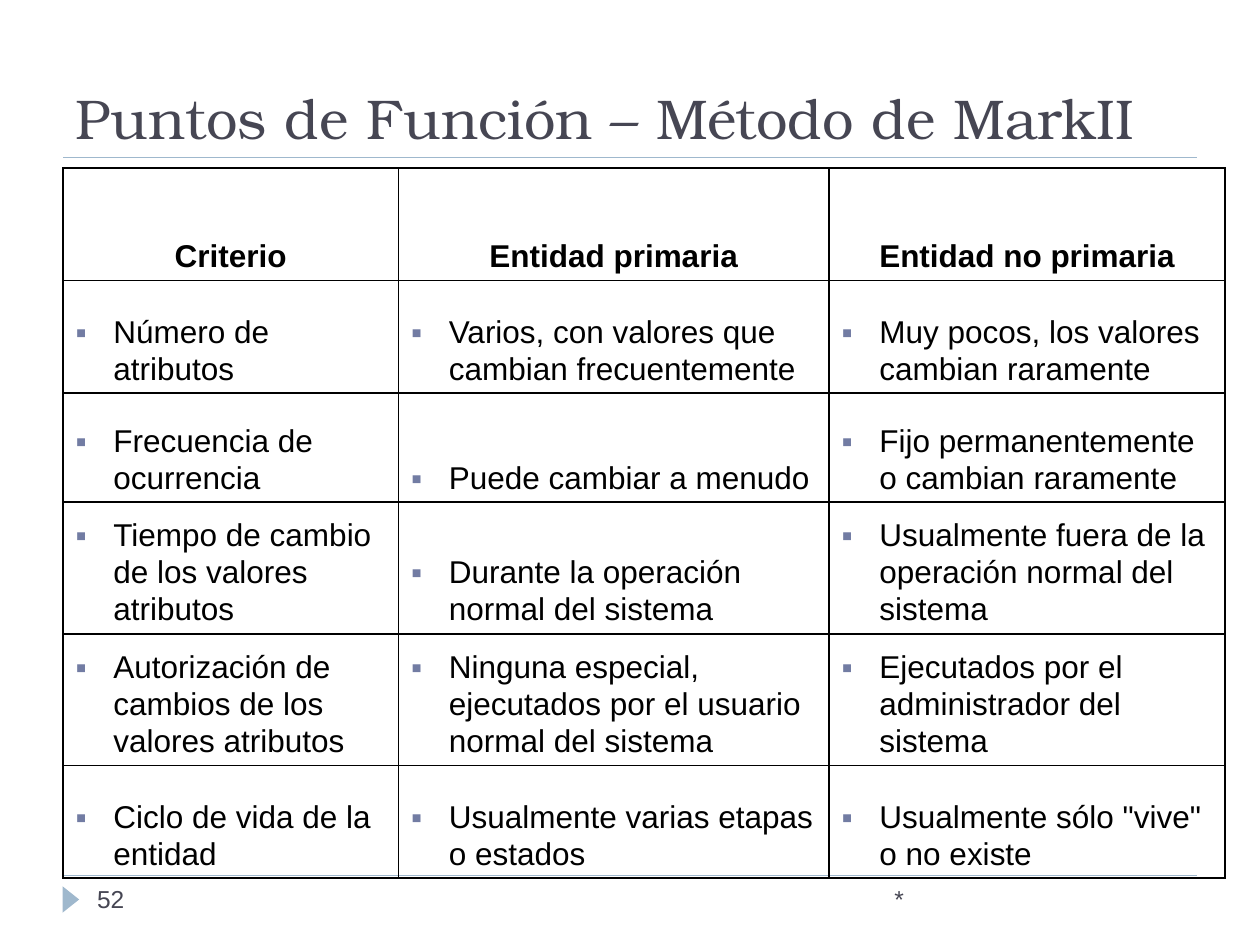
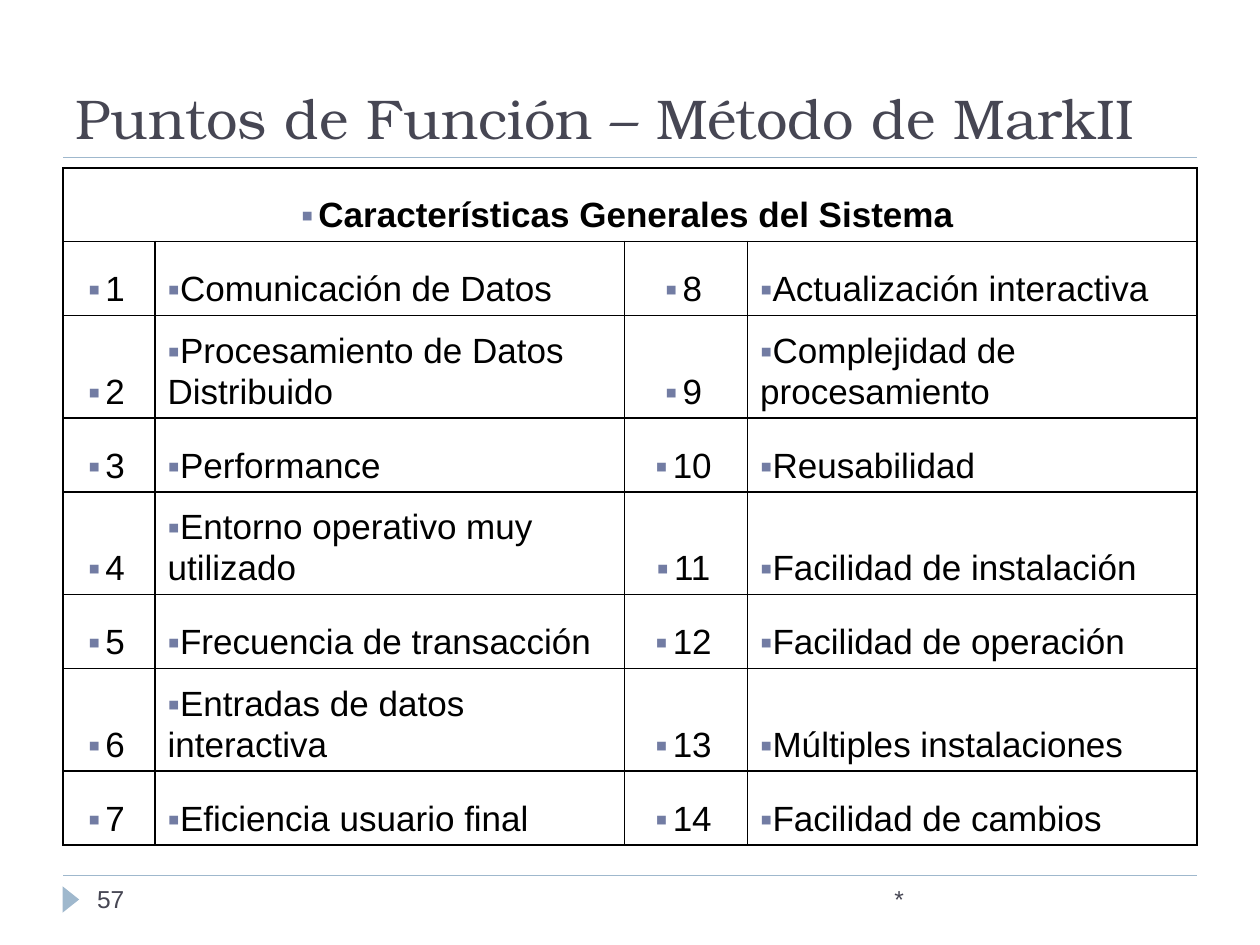
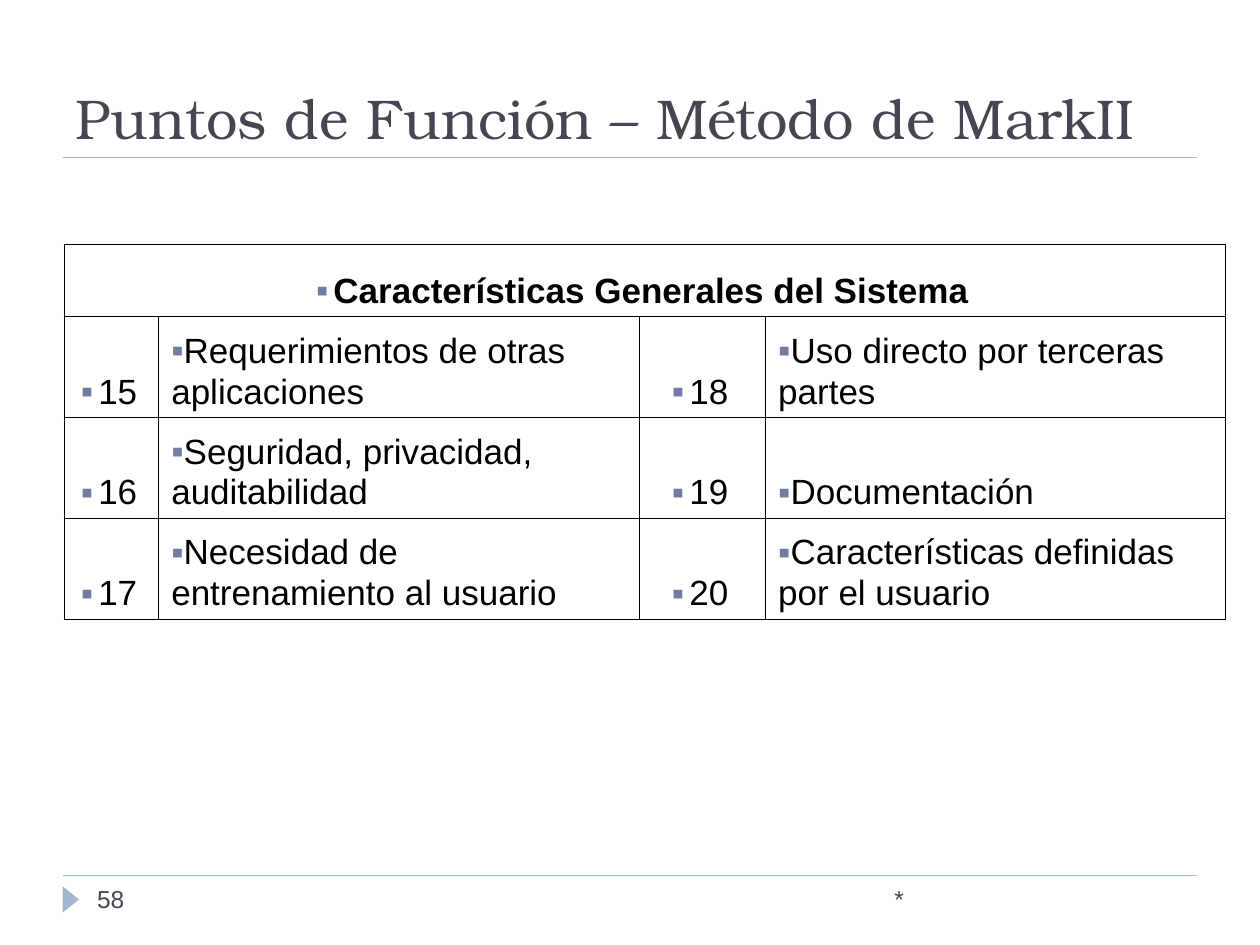
import dataclasses

import pptx
import pptx.dml.color
import pptx.enum.shapes
import pptx.enum.text
import pptx.oxml
import pptx.oxml.ns
import pptx.util

Pt = pptx.util.Pt
ALIGN = pptx.enum.text.PP_ALIGN
ANCHOR = pptx.enum.text.MSO_ANCHOR

# Content
TITLE = "Puntos de Función – Método de MarkII"
DATE_MARK = "*"

CRITERIA_HEADINGS = ["Criterio", "Entidad primaria", "Entidad no primaria"]
CRITERIA = [
    ["Número de atributos",
     "Varios, con valores que cambian frecuentemente",
     "Muy pocos, los valores cambian raramente"],
    ["Frecuencia de ocurrencia",
     "Puede cambiar a menudo",
     "Fijo permanentemente o cambian raramente"],
    ["Tiempo de cambio de los valores atributos",
     "Durante la operación normal del sistema",
     "Usualmente fuera de la operación normal del sistema"],
    ["Autorización de cambios de los valores atributos",
     "Ninguna especial, ejecutados por el usuario normal del sistema",
     "Ejecutados por el administrador del sistema"],
    ["Ciclo de vida de la entidad",
     "Usualmente varias etapas o estados",
     "Usualmente sólo \"vive\" o no existe"],
]

FEATURES_HEADING = "Características Generales del Sistema"
FEATURES = [
    "Comunicación de Datos", "Procesamiento de Datos Distribuido", "Performance",
    "Entorno operativo muy utilizado", "Frecuencia de transacción",
    "Entradas de datos interactiva", "Eficiencia usuario final",
    "Actualización interactiva", "Complejidad de procesamiento", "Reusabilidad",
    "Facilidad de instalación", "Facilidad de operación",
    "Múltiples instalaciones", "Facilidad de cambios",
]
MORE_FEATURES = [
    "Requerimientos de otras aplicaciones", "Seguridad, privacidad, auditabilidad",
    "Necesidad de entrenamiento al usuario", "Uso directo por terceras partes",
    "Documentación", "Características definidas por el usuario",
]


# Theme
@dataclasses.dataclass(frozen=True)
class Theme:
    ink: str = "464653"
    accent: str = "9FB8CD"
    bullet: str = "727CA3"
    table: str = "000000"
    title_font: str = "TeX Gyre Bonum"
    body_font: str = "Arial"
    title_size: float = 32
    footer_size: float = 14
    criteria_size: float = 18
    features_size: float = 20
    line_spacing: float = 1.05


THEME = Theme()
LEFT, RIGHT = 36, 684
TITLE_RULE, FOOTER_RULE = 90, 500.4


def rgb(value):
    return pptx.dml.color.RGBColor.from_string(value)


def style(paragraph, font, size, color, bold=False):
    for run in paragraph.runs:
        run.font.name, run.font.size, run.font.bold = font, Pt(size), bold
        run.font.color.rgb = rgb(color)


def add_xml(parent, xml):
    parent.append(pptx.oxml.parse_xml(
        xml.replace(" ", f" {pptx.oxml.ns.nsdecls('a')} ", 1)))


# Shared slide parts
def add_rule(slide, y):
    rule = slide.shapes.add_connector(
        pptx.enum.shapes.MSO_CONNECTOR.STRAIGHT, Pt(LEFT), Pt(y), Pt(RIGHT), Pt(y))
    rule.line.color.rgb, rule.line.width = rgb(THEME.accent), Pt(0.75)
    add_xml(rule._element.spPr, "<a:effectLst />")


def add_footer_text(slide, text, left, width):
    frame = slide.shapes.add_textbox(
        Pt(left), Pt(FOOTER_RULE + 0.4), Pt(width), Pt(28.8)).text_frame
    frame.word_wrap = True
    frame.text = text
    frame.paragraphs[0].line_spacing = THEME.line_spacing
    style(frame.paragraphs[0], THEME.body_font, THEME.footer_size, THEME.ink)


def add_page(deck, number):
    slide = deck.slides.add_slide(deck.slide_layouts[5])
    title = slide.shapes.title
    title.left, title.top, title.width, title.height = Pt(LEFT), Pt(12), Pt(RIGHT - LEFT), Pt(78)
    frame = title.text_frame
    frame.text = TITLE
    frame.auto_size = pptx.enum.text.MSO_AUTO_SIZE.NONE
    frame.vertical_anchor = ANCHOR.BOTTOM
    frame.paragraphs[0].alignment = ALIGN.LEFT
    style(frame.paragraphs[0], THEME.title_font, THEME.title_size, THEME.ink)

    add_rule(slide, FOOTER_RULE)
    add_rule(slide, TITLE_RULE)
    marker = slide.shapes.add_shape(
        pptx.enum.shapes.MSO_SHAPE.ISOSCELES_TRIANGLE, Pt(33), Pt(509.3), Pt(15), Pt(9.4))
    marker.rotation = 90
    marker.shadow.inherit = False
    marker.fill.solid()
    marker.fill.fore_color.rgb = rgb(THEME.accent)
    marker.line.fill.background()
    add_footer_text(slide, DATE_MARK, 504, 180)
    add_footer_text(slide, str(number), 48.4, 156)
    return slide


# Tables
def set_indent(paragraph, margin, indent, bulleted):
    properties = paragraph._p.get_or_add_pPr()
    properties.set("marL", str(Pt(margin)))
    properties.set("indent", str(Pt(indent)))
    if not bulleted:
        add_xml(properties, "<a:buNone />")
        return
    add_xml(properties, f'<a:buClr ><a:srgbClr val="{THEME.bullet}"/></a:buClr>')
    add_xml(properties, '<a:buSzPct val="100000"/>')
    add_xml(properties, f'<a:buFont typeface="{THEME.body_font}"/>')
    add_xml(properties, '<a:buChar char="▪"/>')


def set_borders(cell):
    properties = cell._tc.get_or_add_tcPr()
    for side in ("lnL", "lnR", "lnT", "lnB"):
        add_xml(properties, f'<a:{side} w="{Pt(1)}"><a:solidFill><a:srgbClr '
                            f'val="{THEME.table}"/></a:solidFill></a:{side}>')


def add_grid(slide, rows, left, top, widths, heights, size, margin, indent,
             centered=(), bulleted_heading=True):
    grid = slide.shapes.add_table(
        len(rows), len(widths), Pt(left), Pt(top), Pt(sum(widths)), Pt(sum(heights))).table
    grid.first_row = grid.horz_banding = False
    for column, width in zip(grid.columns, widths):
        column.width = Pt(width)
    for row, height in zip(grid.rows, heights):
        row.height = Pt(height)
    if len(rows[0]) == 1:
        grid.cell(0, 0).merge(grid.cell(0, len(widths) - 1))
    for cell in grid.iter_cells():
        set_borders(cell)
        cell.fill.background()
    for r, texts in enumerate(rows):
        heading = r == 0
        for c, text in enumerate(texts):
            cell = grid.cell(r, c)
            cell.text = text
            cell.vertical_anchor = ANCHOR.BOTTOM
            paragraph = cell.text_frame.paragraphs[0]
            paragraph.line_spacing = THEME.line_spacing
            paragraph.alignment = ALIGN.CENTER if heading or c in centered else ALIGN.LEFT
            set_indent(paragraph, margin, indent, bulleted_heading or not heading)
            style(paragraph, THEME.body_font, size, THEME.table, bold=heading)


def add_features(slide, features, first, left, top, widths, heights):
    half = len(features) // 2
    rows = [[FEATURES_HEADING]]
    for i in range(half):
        rows.append([str(first + i), features[i],
                     str(first + half + i), features[half + i]])
    add_grid(slide, rows, left, top, widths, heights, THEME.features_size,
             margin=0, indent=-9.9, centered=(0, 2))


def main():
    deck = pptx.Presentation()
    deck.slide_width, deck.slide_height = Pt(720), Pt(540)

    # Entity criteria
    add_grid(add_page(deck, 52), [CRITERIA_HEADINGS] + CRITERIA, LEFT, 96,
             [191.7, 246.1, 226.4], [64.4, 64.3, 62.3, 75.3, 75.3, 64.3],
             THEME.criteria_size, margin=21.6, indent=-21.6, bulleted_heading=False)

    # General features, 1 to 14
    short, tall = 42.3, 58.6
    add_features(add_page(deck, 57), FEATURES, 1, LEFT, 96, [52.6, 268.3, 70.3, 256.8],
                 [41.9, short] + [tall, short] * 3)

    # General features, 15 to 20
    add_features(add_page(deck, 58), MORE_FEATURES, 15, 36.8, 139.6,
                 [53.9, 274.8, 72, 262.8], [41.4] + [57.7] * 3)

    deck.save("out.pptx")


if __name__ == "__main__":
    main()
